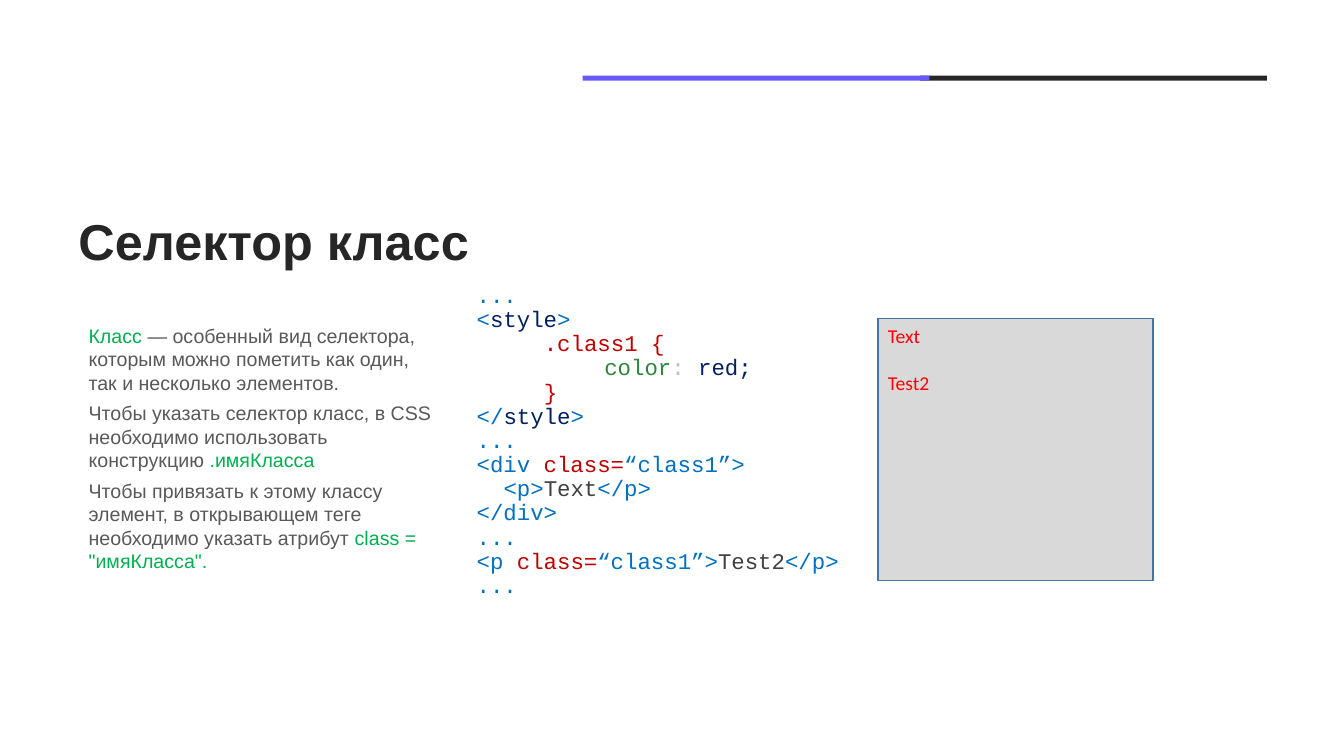
from dataclasses import dataclass

from pptx import Presentation
from pptx.dml.color import RGBColor
from pptx.enum.shapes import MSO_SHAPE
from pptx.enum.text import MSO_ANCHOR, PP_ALIGN
from pptx.util import Pt


@dataclass(frozen=True)
class Theme:
    """Colours, fonts and type sizes of the slide."""
    ink: str = "262626"
    violet: str = "6759FE"
    body: str = "595959"
    term: str = "00B050"
    tag: str = "0070C0"
    keyword: str = "002060"
    selector: str = "C00000"
    prop: str = "2B853A"
    colon: str = "BFBFBF"
    content: str = "404040"
    panel: str = "D9D9D9"
    panel_edge: str = "43739E"
    output: str = "FF0000"
    text_font: str = "Arial"
    code_font: str = "Courier New"
    output_font: str = "Calibri"
    title_size: int = 36
    body_size: int = 14
    code_size: int = 16


THEME = Theme()

EXPLANATION = [
    [("Класс", THEME.term),
     (" — особенный вид селектора, которым можно пометить как один, "
      "так и несколько элементов.", THEME.body)],
    [("Чтобы указать селектор класс, в CSS необходимо использовать конструкцию ", THEME.body),
     (".имяКласса", THEME.term)],
    [("Чтобы привязать к этому классу элемент, в открывающем теге "
      "необходимо указать атрибут ", THEME.body),
     ('class = "имяКласса".', THEME.term)],
]

ELLIPSIS = (0, [("...", THEME.tag)])
CLASS_ATTRIBUTE = [("class=", THEME.selector), ("“class1”>", THEME.tag)]
CODE = [
    ELLIPSIS,
    (0, [("<", THEME.tag), ("style", THEME.keyword), (">", THEME.tag)]),
    (48, [(".class1 {", THEME.selector)]),
    (91.2, [("color", THEME.prop), (": ", THEME.colon), ("red;", THEME.keyword)]),
    (48, [("}", THEME.selector)]),
    (0, [("</", THEME.tag), ("style", THEME.keyword), (">", THEME.tag)]),
    ELLIPSIS,
    (0, [("<div ", THEME.tag), *CLASS_ATTRIBUTE]),
    (19.2, [("<p>", THEME.tag), ("Text", THEME.content), ("</p>", THEME.tag)]),
    (0, [("</div>", THEME.tag)]),
    ELLIPSIS,
    (0, [("<p ", THEME.tag), *CLASS_ATTRIBUTE,
         ("Test2", THEME.content), ("</p>", THEME.tag)]),
    ELLIPSIS,
]


def add_rectangle(slide, box, fill):
    """Add a flat rectangle without an outline."""
    rectangle = slide.shapes.add_shape(MSO_SHAPE.RECTANGLE, *map(Pt, box))
    rectangle.shadow.inherit = False
    rectangle.fill.solid()
    rectangle.fill.fore_color.rgb = RGBColor.from_string(fill)
    rectangle.line.fill.background()
    return rectangle


def add_frame(slide, box):
    """Add a wrapping text box and return its text frame."""
    frame = slide.shapes.add_textbox(*map(Pt, box)).text_frame
    frame.word_wrap = True
    return frame


def write(frame, lines, font, size, bold=False, spacing=None, before=0):
    """Fill a frame with lines, each an indent and its coloured pieces."""
    for number, (indent, pieces) in enumerate(lines):
        paragraph = frame.add_paragraph() if number else frame.paragraphs[0]
        paragraph.alignment = PP_ALIGN.LEFT
        paragraph.font.name = font
        paragraph.font.size = Pt(size)
        paragraph.font.bold = bold
        paragraph.space_before = Pt(before)
        if spacing:
            paragraph.line_spacing = spacing
        if indent:
            paragraph._p.get_or_add_pPr().set("marL", str(Pt(indent)))
        for text, colour in pieces:
            run = paragraph.add_run()
            run.text = text
            run.font.color.rgb = RGBColor.from_string(colour)


def add_accent(slide, box):
    """Draw the two-colour rule, its halves overlapping slightly."""
    left, top, width, height = box
    half = 247.7
    add_rectangle(slide, (left + width - half, top, half, height), THEME.ink)
    add_rectangle(slide, (left, top, half, height), THEME.violet)


def add_title(slide, box):
    """Write the slide title."""
    frame = add_frame(slide, box)
    frame.vertical_anchor = MSO_ANCHOR.MIDDLE
    write(frame, [(0, [("Селектор класc", THEME.ink)])],
          THEME.text_font, THEME.title_size, bold=True, spacing=0.9)


def add_explanation(slide, box):
    """Write the paragraphs that explain class selectors."""
    write(add_frame(slide, box), [(7.2, pieces) for pieces in EXPLANATION],
          THEME.text_font, THEME.body_size, before=5)


def add_code(slide, box):
    """Write the highlighted code sample."""
    write(add_frame(slide, box), CODE, THEME.code_font, THEME.code_size, spacing=0.9)


def add_output(slide, box):
    """Draw the panel that shows what the code renders."""
    panel = add_rectangle(slide, box, THEME.panel)
    panel.line.color.rgb = RGBColor.from_string(THEME.panel_edge)
    panel.line.width = Pt(1)
    frame = panel.text_frame
    frame.word_wrap = True
    frame.vertical_anchor = MSO_ANCHOR.TOP
    write(frame, [(0, [(text, THEME.output)]) for text in ("Text", "Test2")],
          THEME.output_font, THEME.body_size)
    frame.paragraphs[1].space_before = Pt(17)


def main():
    """Build the slide and save it."""
    presentation = Presentation()
    presentation.slide_width, presentation.slide_height = Pt(960), Pt(540)
    slide = presentation.slides.add_slide(presentation.slide_layouts[6])
    add_title(slide, (49, 149, 856, 51))
    add_accent(slide, (416.2, 54, 488.8, 3.6))
    add_explanation(slide, (49, 227.5, 273.6, 187.2))
    add_code(slide, (333.4, 199.4, 282.2, 242.6))
    add_output(slide, (627.1, 227.5, 196.6, 187.2))
    presentation.save("out.pptx")


if __name__ == "__main__":
    main()
